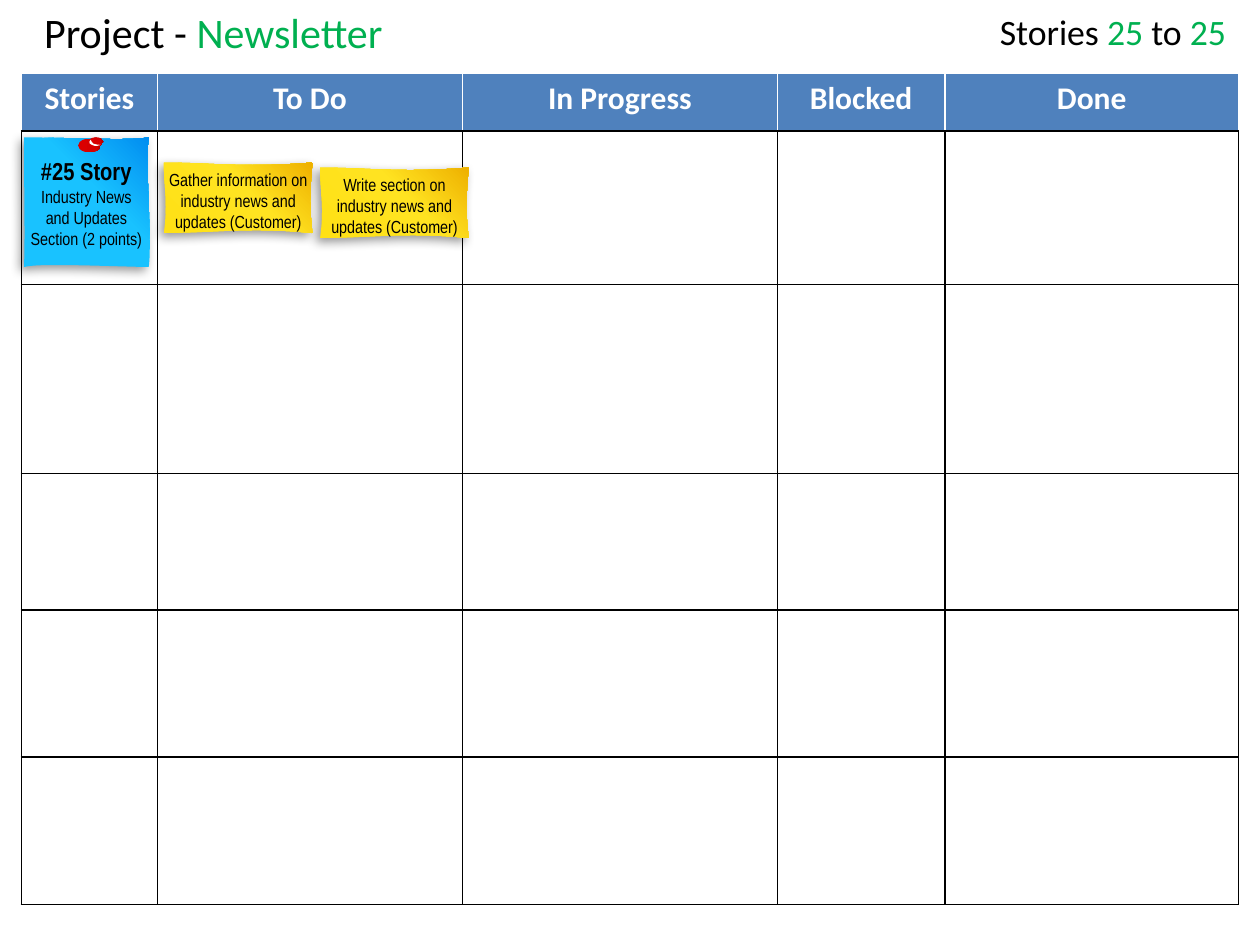
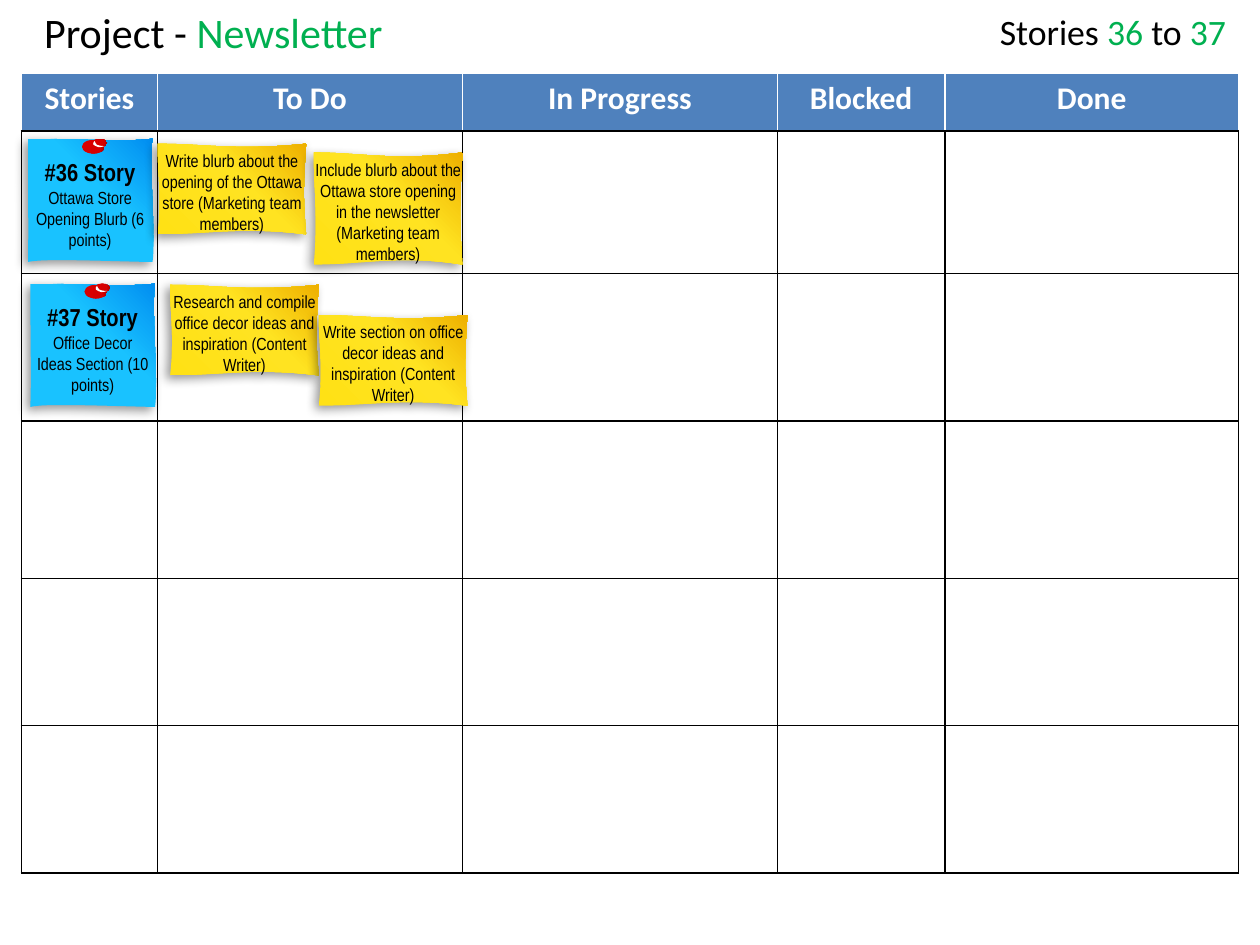
from copy import deepcopy
from lxml import etree
from pptx import Presentation
from pptx.dml.color import RGBColor as RGB
from pptx.enum.shapes import MSO_SHAPE as Shape
from pptx.enum.text import MSO_ANCHOR as Anchor, MSO_AUTO_SIZE as Auto, PP_ALIGN as Align
from pptx.oxml import parse_xml
from pptx.oxml.ns import nsdecls, qn
from pptx.util import Pt

PX = 9144
COLORS = dict(black="000000", white="FFFFFF", green="00B050", header="4F81BD")
GRADIENTS = dict(
    task=([(0, "FFE115"), (58, "FFE321"), (100, "EEB000")], 45),
    story=([(0, "19C2FF"), (58, "19C2FF"), (100, "008CF0")], 45),
    pin=([(0, "DA0000"), (80, "D60000"), (100, "AC0000")], 0),
)
COLUMNS = [("Stories", 108), ("To Do", 242), ("In Progress", 250), ("Blocked", 133), ("Done", 233)]
HEADER_HEIGHT = 46
TASK_WIDTH = 118

TASK_OUTLINE = [(0, 0), (.33, 0), (.53, .08), (1, 0), (.98, .5), (.98, .61), (1, 1),
                (.57, .91), (.33, 1), (0, 1), (.03, .55), (0, .34), (0, 0)]
STORY_OUTLINE = [(0, 0), (.33, 0), (.83, .03), (.99, 0), (.96, .22), (1.02, .81), (.99, 1),
                 (.55, .99), (.1, .97), (0, 1), (.01, .82), (0, .34), (0, 0)]
GLINT_OUTLINE = [(.11, 0), (.11, -.2), (.11, .2), (.33, .6), (.67, .8), (.89, .8), (1, .8),
                 (.89, .8), (.56, 1.2), (.22, .8), (-.22, .6), (.11, 0), (.11, 0)]


def write(tf, paragraphs, font="Calibri", size=18, color="black", bold=False, align=Align.LEFT):
    for i, runs in enumerate(paragraphs):
        p = tf.paragraphs[0] if i == 0 else tf.add_paragraph()
        p.alignment = align
        for text, changes in runs:
            look = dict(size=size, color=color, bold=bold) | changes
            r = p.add_run()
            r.text = text
            r.font.name = font
            r.font.size = Pt(look["size"])
            r.font.bold = look["bold"]
            r.font.color.rgb = RGB.from_string(COLORS[look["color"]])


def frame(tf, insets=(10, 5, 10, 5), anchor=Anchor.TOP, auto=Auto.NONE):
    tf.word_wrap = True
    tf.auto_size = auto
    tf.vertical_anchor = anchor
    tf.margin_left, tf.margin_top, tf.margin_right, tf.margin_bottom = [v * PX for v in insets]


def bend(sp):
    lines = list(sp._element.iter(qn("a:lnTo")))
    for i in range(0, len(lines), 3):
        curve = etree.Element(qn("a:cubicBezTo"))
        lines[i].addprevious(curve)
        for line in lines[i:i + 3]:
            curve.append(line[0])
            line.getparent().remove(line)


class Board:
    def __init__(self, prs):
        self.prs = prs
        self.slide = None

    def new_slide(self):
        self.slide = self.prs.slides.add_slide(self.prs.slide_layouts[5])

    def title(self, project):
        sp = self.slide.shapes.title
        sp.left, sp.top, sp.width, sp.height = [v * PX for v in (25, 0, 767, 50)]
        frame(sp.text_frame, anchor=Anchor.MIDDLE)
        write(sp.text_frame, [[("Project - ", {}), (project, dict(color="green"))]], size=24)

    def textbox(self, shapes, box, paragraphs, insets, anchor, auto, **look):
        sp = shapes.add_textbox(*[v * PX for v in box])
        frame(sp.text_frame, insets, anchor, auto)
        write(sp.text_frame, paragraphs, **look)

    def story_range(self, first, last):
        green = dict(color="green")
        runs = [("Stories ", {}), (str(first), green), (" to ", {}), (str(last), green)]
        self.textbox(self.slide.shapes, (773, 0, 210, 50), [runs], (10, 5, 10, 5),
                     Anchor.MIDDLE, Auto.NONE, size=20.4, align=Align.RIGHT)

    def borders(self, cell, **sides):
        tcPr = cell._tc.get_or_add_tcPr()
        for i, side in enumerate("LRTB"):
            color = COLORS[sides.get(side, "black")]
            tcPr.insert(i, parse_xml(
                f'<a:ln{side} {nsdecls("a")} w="12700"><a:solidFill><a:srgbClr val="{color}"/>'
                f'</a:solidFill></a:ln{side}>'))

    def table(self, row_heights):
        heights = [HEADER_HEIGHT, *row_heights]
        widths = [w for _, w in COLUMNS]
        box = (17, 58, sum(widths), sum(heights))
        table = self.slide.shapes.add_table(len(heights), len(widths), *[v * PX for v in box]).table
        table.first_row = table.horz_banding = False
        for col, width in zip(table.columns, widths):
            col.width = width * PX
        for row, height in zip(table.rows, heights):
            row.height = height * PX
        for cell in table.iter_cells():
            cell.fill.background()
        for cell, (name, _) in zip(table.rows[0].cells, COLUMNS):
            cell.fill.solid()
            cell.fill.fore_color.rgb = RGB.from_string(COLORS["header"])
            cell.margin_top, cell.margin_bottom = 5 * PX, 10 * PX
            write(cell.text_frame, [[(name, {})]], color="white", bold=True, align=Align.CENTER)
            self.borders(cell, L="white", R="white", T="white")
        for row in list(table.rows)[1:]:
            for cell in row.cells:
                self.borders(cell)

    def gradient(self, sp, name):
        stops, angle = GRADIENTS[name]
        sp.fill.gradient()
        sp.fill.gradient_angle = angle
        stop_list = sp._element.spPr.find(".//" + qn("a:gsLst"))
        stop_list.append(deepcopy(stop_list[0]))
        for stop, (position, color) in zip(sp.fill.gradient_stops, stops):
            stop.position = position / 100
            stop.color.rgb = RGB.from_string(color)

    def plain(self, sp):
        sp.line.fill.background()
        sp.shadow.inherit = False

    def cast_shadow(self, sp):
        sp._element.spPr.find(qn("a:effectLst")).append(parse_xml(
            f'<a:outerShdw {nsdecls("a")} blurRad="76200" dist="38100" dir="8100000" algn="tr" '
            'rotWithShape="0"><a:srgbClr val="000000"><a:alpha val="40000"/></a:srgbClr></a:outerShdw>'))

    def outline(self, shapes, box, points):
        x, y, w, h = box
        start, *rest = [(round((x + px * w) * PX), round((y + py * h) * PX)) for px, py in points]
        builder = shapes.build_freeform(*start, scale=1.0)
        builder.add_line_segments(rest, close=True)
        sp = builder.convert_to_shape()
        bend(sp)
        self.plain(sp)
        return sp

    def task(self, x, y, height, text):
        sp = self.outline(self.slide.shapes, (x, y, TASK_WIDTH, height), TASK_OUTLINE)
        self.gradient(sp, "task")
        self.cast_shadow(sp)
        frame(sp.text_frame, (0, 5, 0, 0), auto=Auto.SHAPE_TO_FIT_TEXT)
        write(sp.text_frame, [[(text, {})]], font="Arial Narrow", size=10, align=Align.CENTER)

    def pin(self, shapes, x, y):
        for box in ((x, y + 1, 18, 11), (x + 8, y, 12, 7)):
            sp = shapes.add_shape(Shape.OVAL, *[v * PX for v in box])
            self.plain(sp)
            self.gradient(sp, "pin")
        glint = self.outline(shapes, (x + 9, y + 2, 9, 5), GLINT_OUTLINE)
        glint.fill.solid()
        glint.fill.fore_color.rgb = RGB.from_string(COLORS["white"])

    def story(self, x, y, height, number, text):
        shapes = self.slide.shapes.add_group_shape().shapes
        note = self.outline(shapes, (x, y, 100, height), STORY_OUTLINE)
        self.gradient(note, "story")
        self.cast_shadow(note)
        heading = (f"#{number} Story", dict(size=14, bold=True))
        self.textbox(shapes, (x + 4, y + 15, 91, 74), [[heading], [(text, {})]], (0, 0, 0, 0),
                     Anchor.TOP, Auto.SHAPE_TO_FIT_TEXT, font="Arial Narrow", size=10,
                     align=Align.CENTER)
        self.pin(shapes, x + 43, y)


SLIDES = [
    dict(
        rows=[122, 150, 108, 117, 117],
        stories=[(19, 109, 103, 25, "Industry News and Updates Section (2 points)")],
        tasks=[
            (254, 133, 56, "Write section on industry news and updates (Customer)"),
            (130, 129, 56, "Gather information on industry news and updates (Customer)"),
        ],
    ),
    dict(
        rows=[113, 117, 125, 117, 117],
        stories=[
            (22, 110, 98, 36, "Ottawa Store Opening Blurb (6 points)"),
            (24, 225, 98, 37, "Office Decor Ideas Section (10 points)"),
        ],
        tasks=[
            (125, 114, 72, "Write blurb about the opening of the Ottawa store (Marketing team members)"),
            (249, 121, 89, "Include blurb about the Ottawa store opening in the newsletter "
                           "(Marketing team members)"),
            (135, 226, 72, "Research and compile office decor ideas and inspiration (Content Writer)"),
            (253, 250, 72, "Write section on office decor ideas and inspiration (Content Writer)"),
        ],
    ),
]


def main():
    prs = Presentation()
    prs.slide_width, prs.slide_height = 1000 * PX, 750 * PX
    board = Board(prs)
    for content in SLIDES:
        board.new_slide()
        board.title("Newsletter")
        board.table(content["rows"])
        numbers = [story[3] for story in content["stories"]]
        board.story_range(numbers[0], numbers[-1])
        for story in content["stories"]:
            board.story(*story)
        for task in content["tasks"]:
            board.task(*task)
    prs.save("out.pptx")


if __name__ == "__main__":
    main()
